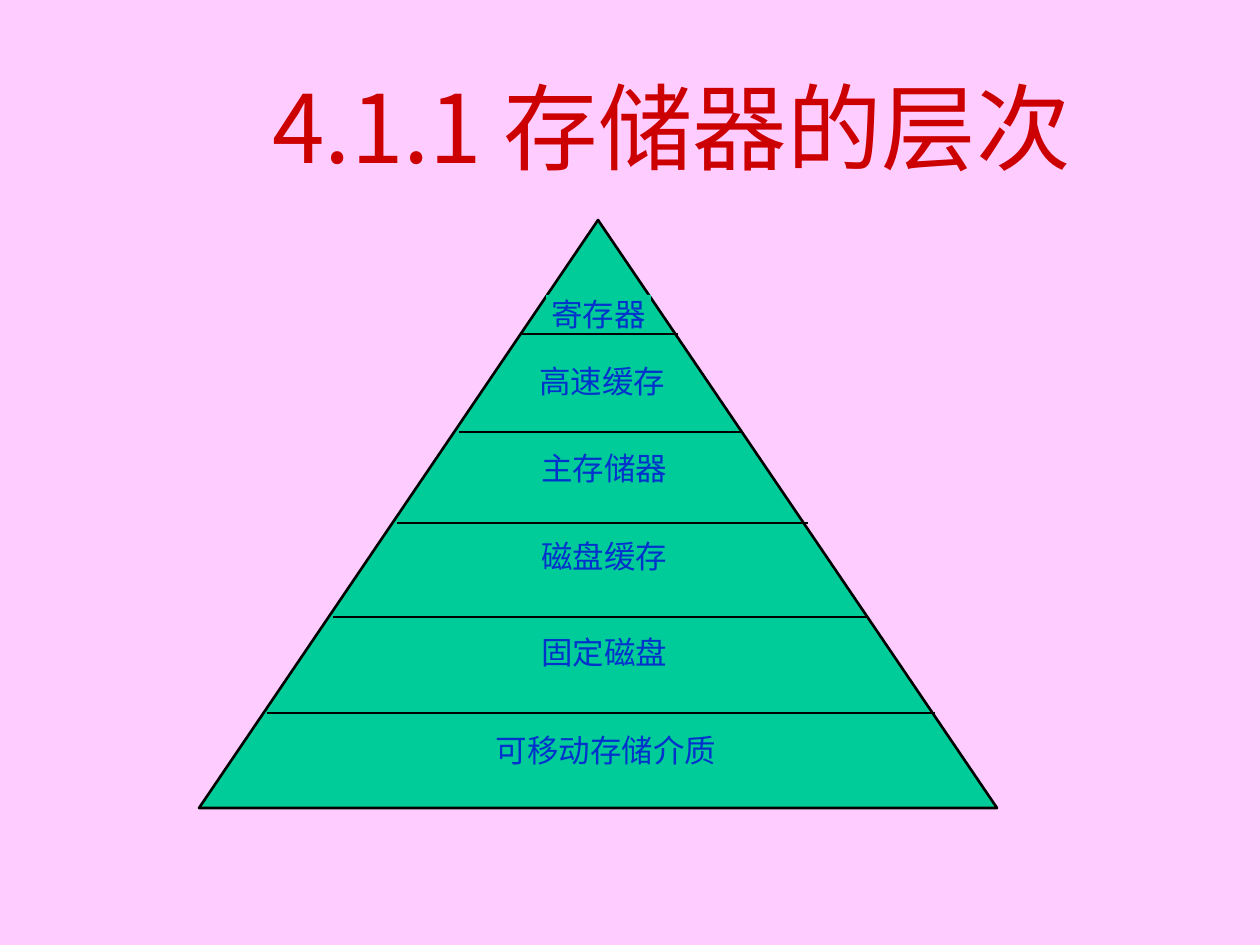
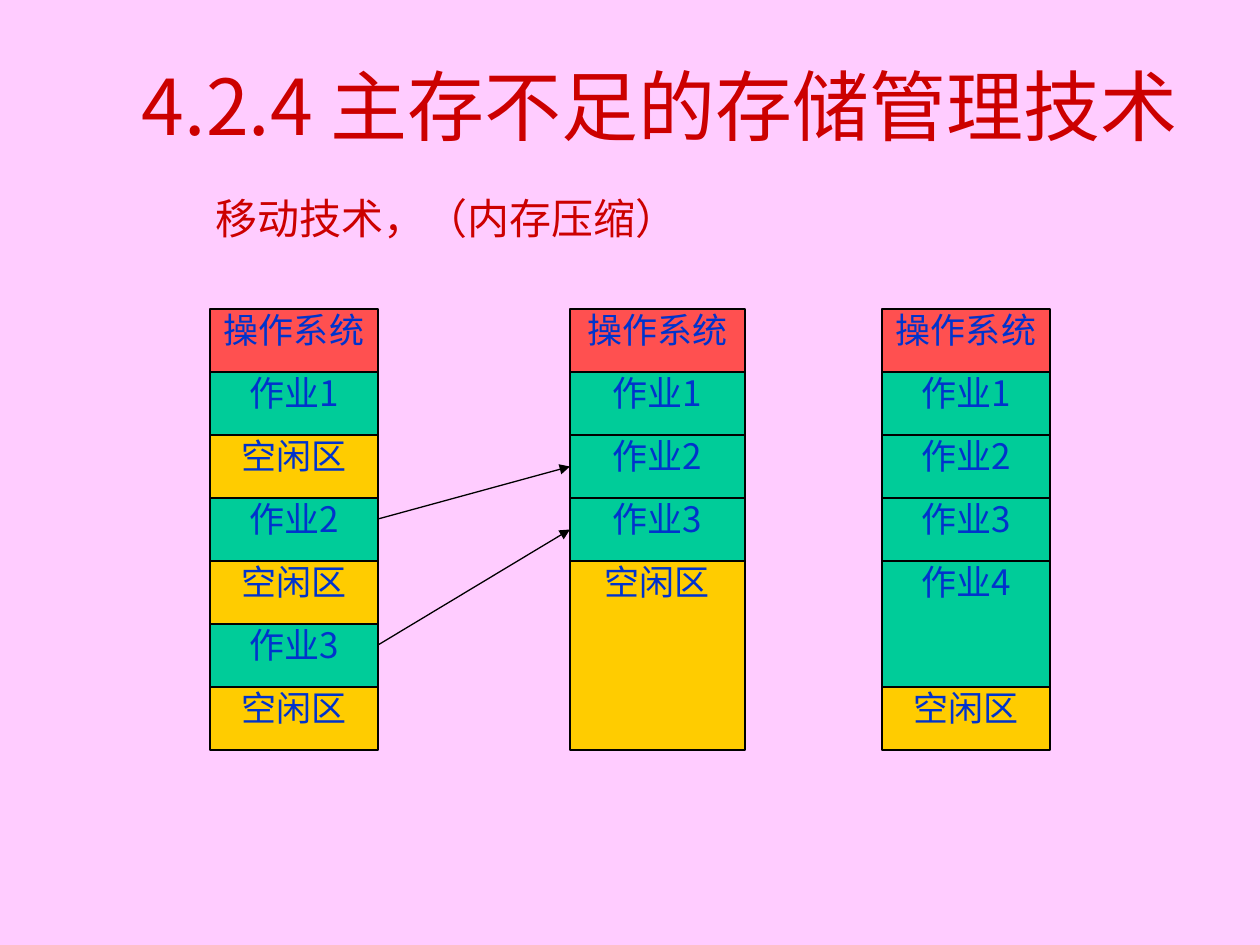
from dataclasses import dataclass

from lxml import etree
from pptx import Presentation, util as u
from pptx.dml.color import RGBColor
from pptx.enum import shapes, text
from pptx.oxml.ns import qn

# Shared look
PINK = RGBColor(0xFF, 0xCC, 0xFF)
RED = RGBColor(0xCC, 0x00, 0x00)
BLUE = RGBColor(0x00, 0x33, 0xCC)
GREEN = RGBColor(0x00, 0xCC, 0x99)
CORAL = RGBColor(0xFF, 0x50, 0x50)
GOLD = RGBColor(0xFF, 0xCC, 0x00)
BLACK = RGBColor(0x00, 0x00, 0x00)
FONT = "Noto Sans CJK JP"
SCALE = 914400 / 126  # EMU in one px
MID = text.MSO_ANCHOR.MIDDLE
TOP = text.MSO_ANCHOR.TOP
LEFT = text.PP_ALIGN.LEFT
CENTER = text.PP_ALIGN.CENTER
RECT = shapes.MSO_SHAPE.RECTANGLE
CONE = shapes.MSO_SHAPE.ISOSCELES_TRIANGLE


@dataclass(frozen=True)
class Box:
    x: int
    y: int
    w: int
    h: int

    def emu(self) -> list[u.Emu]:
        return [px(n) for n in (self.x, self.y, self.w, self.h)]


@dataclass(frozen=True)
class Tier:
    name: str
    box: Box


@dataclass(frozen=True)
class Rule:
    left: int
    right: int
    y: int


@dataclass(frozen=True)
class Cell:
    name: str
    rows: int = 1


@dataclass(frozen=True)
class Stack:
    x: int
    w: int
    cells: tuple[Cell, ...]


def px(n: int) -> u.Emu:
    return u.Emu(round(n * SCALE))


def write(shape, words: str, *, size: int, color: RGBColor = BLUE,
          align=CENTER, anchor=TOP, inset: bool = False) -> None:
    frame = shape.text_frame
    frame.word_wrap = True
    frame.vertical_anchor = anchor
    if not inset:
        frame.margin_left = frame.margin_right = 0
        frame.margin_top = frame.margin_bottom = 0
    para = frame.paragraphs[0]
    para.alignment = align
    run = para.add_run()
    run.text = words
    run.font.size = u.Pt(size)
    run.font.color.rgb = color
    run.font.name = FONT
    etree.SubElement(run._r.get_or_add_rPr(), qn("a:ea"), typeface=FONT)


def note(slide, box: Box, words: str, **style) -> None:
    area = slide.shapes.add_textbox(*box.emu())
    write(area, words, color=RED, inset=True, **style)


def block(slide, box: Box, fill: RGBColor, *, kind=RECT, line: float = 0):
    shape = slide.shapes.add_shape(kind, *box.emu())
    shape.shadow.inherit = False
    shape.fill.solid()
    shape.fill.fore_color.rgb = fill
    if line:
        shape.line.color.rgb = BLACK
        shape.line.width = u.Pt(line)
    else:
        shape.line.fill.background()
    return shape


def stroke(slide, x1: int, y1: int, x2: int, y2: int, *, width: float,
           end=None):
    """Draw a line; with an end shape, an arrow to its left side."""
    line = slide.shapes.add_connector(
        shapes.MSO_CONNECTOR.STRAIGHT, px(x1), px(y1), px(x2), px(y2))
    line.line.color.rgb = BLACK
    line.line.width = u.Pt(width)
    if end is not None:
        line.end_connect(end, 1)
        etree.SubElement(line.line._get_or_add_ln(), qn("a:tailEnd"),
                         type="triangle")
    etree.SubElement(line._element.spPr, qn("a:effectLst"))


# Slide 1: memory pyramid
CONE_BOX = Box(199, 220, 798, 588)
TIERS = (
    Tier("寄存器", Box(546, 295, 105, 49)),
    Tier("高速缓存", Box(532, 362, 141, 52)),
    Tier("主存储器", Box(534, 449, 141, 71)),
    Tier("磁盘缓存", Box(534, 537, 141, 71)),
    Tier("固定磁盘", Box(534, 633, 141, 71)),
    Tier("可移动存储介质", Box(485, 731, 242, 71)),
)
RULES = (
    Rule(522, 678, 334),
    Rule(459, 742, 432),
    Rule(397, 808, 523),
    Rule(333, 867, 617),
    Rule(267, 935, 713),
)


def pyramid(slide) -> None:
    note(slide, Box(136, 47, 1071, 157), "4.1.1 存储器的层次",
         size=54, align=CENTER, anchor=MID)
    block(slide, CONE_BOX, GREEN, kind=CONE, line=1.5)
    for tier in TIERS:
        write(block(slide, tier.box, GREEN), tier.name, size=18)
    for rule in RULES:
        stroke(slide, rule.left, rule.y, rule.right, rule.y, width=1.5)


# Slide 2: memory compaction
HEAD = 309
ROW = 63
SYSTEM = Cell("操作系统")
FREE = Cell("空闲区")
JOB1, JOB2, JOB3 = (Cell(f"作业{n}") for n in (1, 2, 3))
FILLS = {"操作系统": CORAL, "空闲区": GOLD}  # jobs are green
BEFORE = Stack(210, 168, (SYSTEM, JOB1, FREE, JOB2, FREE, JOB3, FREE))
MOVED = Stack(570, 175, (SYSTEM, JOB1, JOB2, JOB3, Cell("空闲区", 3)))
AFTER = Stack(882, 168, (SYSTEM, JOB1, JOB2, JOB3, Cell("作业4", 2), FREE))


def column(slide, stack: Stack) -> list:
    made = []
    y = HEAD
    for cell in stack.cells:
        box = Box(stack.x, y, stack.w, cell.rows * ROW)
        shape = block(slide, box, FILLS.get(cell.name, GREEN), line=0.75)
        write(shape, cell.name, size=20)
        made.append(shape)
        y += box.h
    return made


def compact(slide) -> None:
    note(slide, Box(94, 26, 1132, 158), "4.2.4 主存不足的存储管理技术",
         size=44, align=CENTER, anchor=MID)
    _, moved, _ = [column(slide, s) for s in (BEFORE, MOVED, AFTER)]
    # Each arrow leaves a third of the way down its job
    for job in (JOB2, JOB3):
        y = HEAD + BEFORE.cells.index(job) * ROW + ROW // 3
        goal = MOVED.cells.index(job)
        stroke(slide, BEFORE.x + BEFORE.w, y,
               MOVED.x, HEAD + goal * ROW + ROW // 2,
               width=0.75, end=moved[goal])
    note(slide, Box(203, 186, 515, 115), "移动技术，（内存压缩）",
         size=24, align=LEFT)


def main() -> None:
    deck = Presentation()
    deck.slide_width = px(1260)
    deck.slide_height = px(945)
    back = deck.slide_master.background.fill
    back.solid()
    back.fore_color.rgb = PINK
    for draw in (pyramid, compact):
        draw(deck.slides.add_slide(deck.slide_layouts[6]))
    deck.save("out.pptx")


if __name__ == "__main__":
    main()
